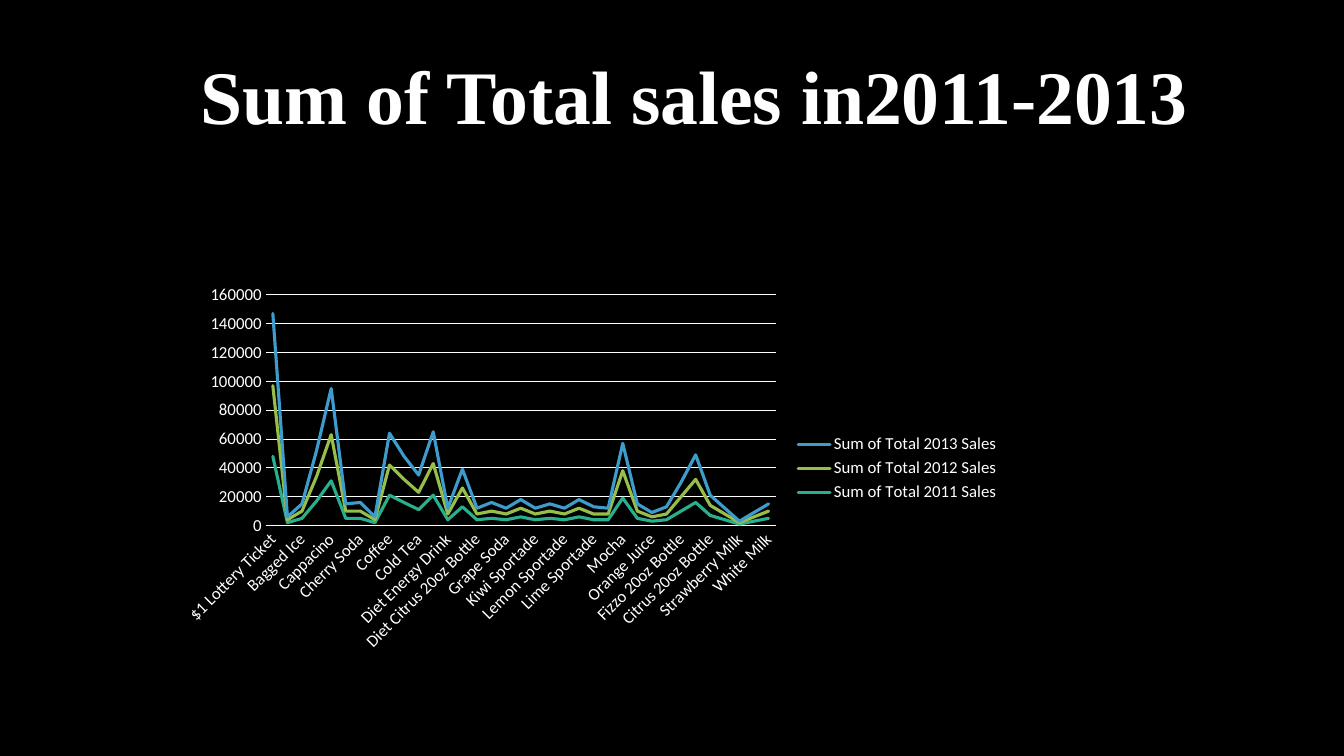
from lxml import etree
from pptx import Presentation
from pptx.chart.data import CategoryChartData
from pptx.dml.color import RGBColor
from pptx.enum.chart import XL_CHART_TYPE, XL_LEGEND_POSITION, XL_TICK_MARK
from pptx.enum.text import MSO_ANCHOR, PP_ALIGN
from pptx.oxml.ns import qn
from pptx.util import Inches, Pt

STACKED_LINE = XL_CHART_TYPE.LINE_STACKED
LEGEND_RIGHT = XL_LEGEND_POSITION.RIGHT
NO_TICK = XL_TICK_MARK.NONE
TOP = MSO_ANCHOR.TOP
CENTER = PP_ALIGN.CENTER

BLACK = RGBColor(0x00, 0x00, 0x00)
WHITE = RGBColor(0xFF, 0xFF, 0xFF)
GREEN = RGBColor(0x29, 0xAF, 0x8C)
LIME = RGBColor(0x97, 0xBE, 0x49)
BLUE = RGBColor(0x3D, 0x9C, 0xCC)

PRODUCTS = [
    "$1 Lottery Ticket", "$10 Lottery Ticket", "Bagged Ice", "Bottled Water",
    "Cappacino", "Cherry Sportade", "Cherry Soda", "Chocolate Milk", "Coffee",
    "Cola 20oz Bottle", "Cold Tea", "Diet Cola 20oz Bottle",
    "Diet Energy Drink", "Diet Fizzo 20oz Bottle", "Diet Citrus 20oz Bottle",
    "Grape Sportade", "Grape Soda", "Hot Tea", "Kiwi Sportade", "Kiwi Soda",
    "Lemon Sportade", "Lemon Soda", "Lime Sportade", "Lime Soda", "Mocha",
    "Orange Sportade", "Orange Juice", "Orange Soda", "Fizzo 20oz Bottle",
    "Regular Energy Drink", "Citrus 20oz Bottle", "Strawberry Sportade",
    "Strawberry Milk", "Strawberry Soda", "White Milk",
]

# Sales in thousands, in the order of PRODUCTS
SALES = {
    2011: [48, 2, 5, 17, 31, 5, 5, 2, 21, 16, 11, 21, 4, 13, 4, 5, 4, 6,
           4, 5, 4, 6, 4, 4, 19, 5, 3, 4, 10, 16, 7, 4, 1, 3, 5],
    2012: [49, 2, 5, 17, 32, 5, 5, 2, 21, 16, 12, 22, 4, 13, 4, 5, 4, 6,
           4, 5, 4, 6, 4, 4, 19, 5, 3, 4, 10, 16, 7, 4, 1, 3, 5],
    2013: [50, 2, 5, 18, 32, 5, 6, 2, 22, 16, 12, 22, 4, 13, 4, 6, 4, 6,
           4, 5, 4, 6, 5, 4, 19, 5, 3, 5, 10, 17, 7, 4, 1, 3, 5],
}
YEAR_COLORS = [GREEN, LIME, BLUE]


class SlideBuilder:
    """Holds the style and the current slide."""

    title_font = "Times New Roman"
    chart_font = "Calibri"
    text_color = WHITE

    def __init__(self, slide, background):
        """Keep the slide and paint its background."""
        self.slide = slide
        slide.background.fill.solid()
        slide.background.fill.fore_color.rgb = background

    def style_font(self, font, name, size, bold=False):
        """Apply typeface, size, weight and the text colour."""
        font.name, font.size, font.bold = name, Pt(size), bold
        font.color.rgb = self.text_color

    def title(self, text, left, top, width, height):
        """Place and format the title placeholder."""
        heading = self.slide.shapes.title
        heading.left, heading.top = Inches(left), Inches(top)
        heading.width, heading.height = Inches(width), Inches(height)
        frame = heading.text_frame
        frame.word_wrap = True
        frame.vertical_anchor = TOP
        frame.margin_top = Inches(0.06)
        paragraph = frame.paragraphs[0]
        paragraph.alignment = CENTER
        paragraph.line_spacing = 0.9
        run = paragraph.add_run()
        run.text = text
        self.style_font(run.font, self.title_font, 54, bold=True)

    def rule(self, line):
        """Draw an axis or grid line in the text colour."""
        line.color.rgb = self.text_color
        line.width = Pt(0.75)

    def line_chart(self, data, colors, left, top, width, height):
        """Add a stacked line chart with a legend on the right."""
        chart = self.slide.shapes.add_chart(
            STACKED_LINE, Inches(left), Inches(top), Inches(width),
            Inches(height), data).chart
        chart.has_title = False
        self.style_font(chart.font, self.chart_font, 10)

        products, sales = chart.category_axis, chart.value_axis
        for axis in (products, sales):
            axis.major_tick_mark = axis.minor_tick_mark = NO_TICK
            self.style_font(axis.tick_labels.font, self.chart_font, 12)
        self.rule(products.format.line)
        body = products._element.find(qn("c:txPr")).find(qn("a:bodyPr"))
        body.set("rot", str(-45 * 60000))
        skip = etree.Element(qn("c:tickLblSkip"), val="2")
        products._element.find(qn("c:noMultiLvlLbl")).addprevious(skip)

        sales.minimum_scale, sales.maximum_scale = 0, 160000
        sales.major_unit = 20000
        sales.has_major_gridlines = True
        self.rule(sales.major_gridlines.format.line)
        sales.format.line.fill.background()

        chart.has_legend = True
        chart.legend.position = LEGEND_RIGHT
        chart.legend.include_in_layout = False
        self.style_font(chart.legend.font, self.chart_font, 12)

        plot = chart.plots[0]
        plot.vary_by_categories = False
        for series, color in zip(plot.series, colors):
            series.smooth = False
            series.format.line.color.rgb = color
            series.format.line.width = Pt(2.25)
            outline = series._element.find(qn("c:spPr")).find(qn("a:ln"))
            outline.set("cap", "rnd")
            etree.SubElement(outline, qn("a:round"))


def sales_data():
    """Collect the yearly sales of every product."""
    data = CategoryChartData(number_format="General")
    data.categories = PRODUCTS
    for year, thousands in SALES.items():
        data.add_series(f"Sum of Total {year} Sales",
                        [value * 1000 for value in thousands])
    return data


def main():
    """Build and save the sales slide."""
    deck = Presentation()
    deck.slide_width, deck.slide_height = Inches(13.33), Inches(7.5)
    title_only = deck.slide_layouts[5]
    builder = SlideBuilder(deck.slides.add_slide(title_only), BLACK)
    builder.line_chart(sales_data(), YEAR_COLORS, 1.67, 2.75, 8.35, 3.79)
    builder.title("Sum of Total sales in2011-2013", 1, 0.53, 11.77, 1.82)
    deck.save("out.pptx")


main()
